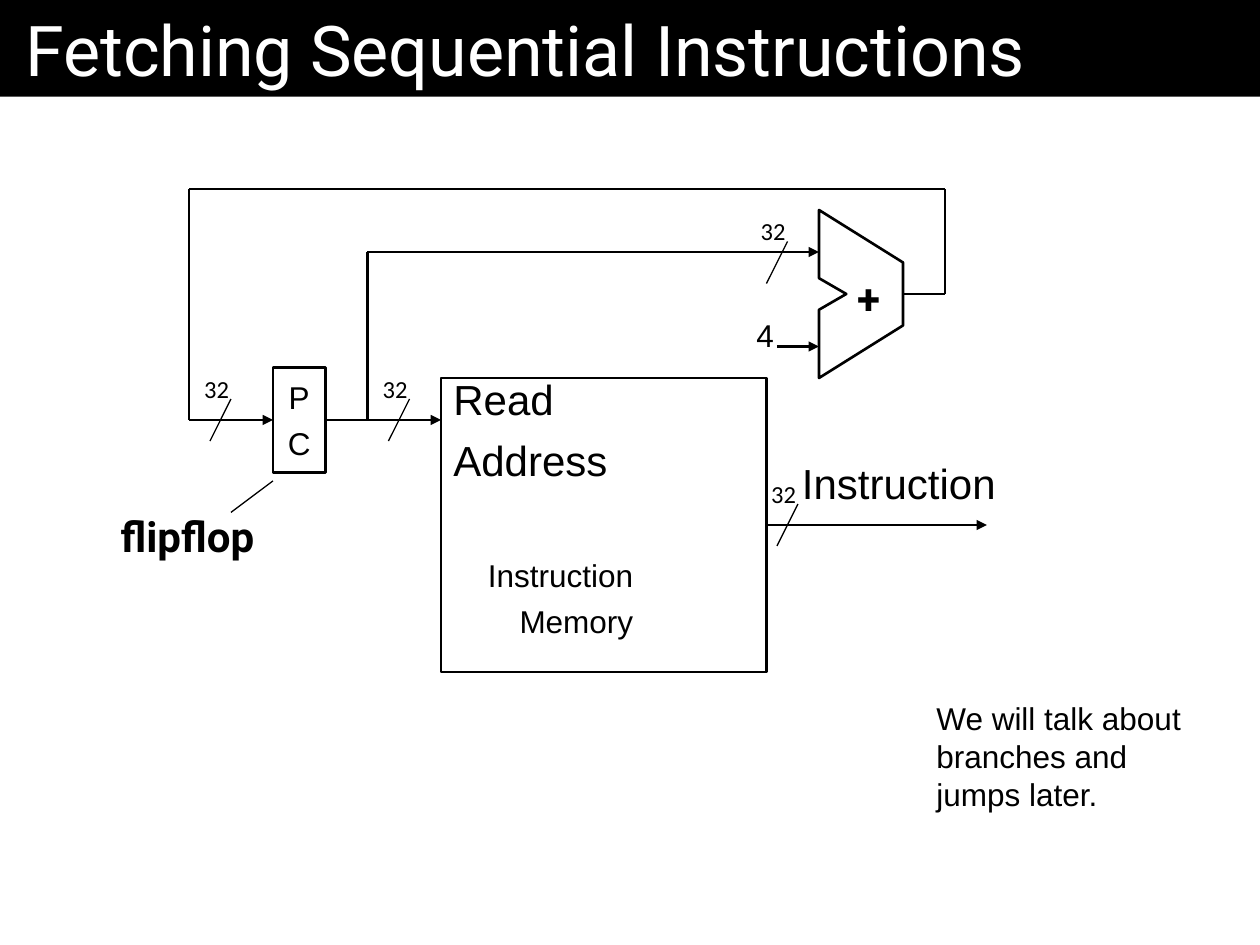
from itertools import pairwise

from lxml import etree
from pptx import Presentation
from pptx.dml.color import RGBColor
from pptx.enum.shapes import MSO_CONNECTOR, MSO_SHAPE
from pptx.enum.text import MSO_ANCHOR, MSO_AUTO_SIZE, PP_ALIGN
from pptx.oxml.ns import qn
from pptx.util import Inches, Pt

RECT = MSO_SHAPE.RECTANGLE
STRAIGHT = MSO_CONNECTOR.STRAIGHT
MIDDLE = MSO_ANCHOR.MIDDLE
GROW = MSO_AUTO_SIZE.SHAPE_TO_FIT_TEXT
LEFT, CENTER, RIGHT = PP_ALIGN.LEFT, PP_ALIGN.CENTER, PP_ALIGN.RIGHT

COLS, ROWS = 120, 90
CELL = Inches(10) / COLS
COLORS = {"ink": "000000", "paper": "FFFFFF"}
THIN, THICK = 0.75, 1.5

FONTS = {
    "title": {"name": "Roboto", "size": Pt(40)},
    "bold": {"name": "Roboto", "size": Pt(24), "bold": True},
    "port": {"name": "Arial", "size": Pt(24)},
    "body": {"name": "Arial", "size": Pt(18)},
    "width": {"name": "Calibri", "size": Pt(14)},
}


def grid(*cells):
    """Turn grid cells into slide lengths."""
    return [round(cell * CELL) for cell in cells]


def color(name):
    return RGBColor.from_string(COLORS[name])


def put_text(shape, lines, font, align=LEFT, ink="ink", **frame):
    """Fill a shape with one paragraph per line; frame holds text frame values."""
    box = shape.text_frame
    for key, value in frame.items():
        setattr(box, key, value)
    for index, line in enumerate(lines):
        para = box.add_paragraph() if index else box.paragraphs[0]
        para.alignment = align
        if index:
            para.space_before = Pt(FONTS[font]["size"].pt / 4)
        run = para.add_run()
        run.text = line
        for key, value in FONTS[font].items():
            setattr(run.font, key, value)
        run.font.color.rgb = color(ink)


def add_label(slide, area, lines, font, align=RIGHT, wrap=False):
    box = slide.shapes.add_textbox(*grid(*area))
    put_text(box, lines, font, align, word_wrap=wrap, auto_size=GROW)


def outline(shape):
    shape.shadow.inherit = False
    shape.fill.background()
    shape.line.color.rgb = color("ink")
    shape.line.width = Pt(THICK)


def add_block(slide, area):
    block = slide.shapes.add_shape(RECT, *grid(*area))
    outline(block)
    return block


def add_wire(slide, points, width=THICK, arrow=False):
    """Join the points with straight lines; the arrow ends the last one."""
    for start, end in pairwise(points):
        wire = slide.shapes.add_connector(STRAIGHT, *grid(*start, *end))
        wire.line.color.rgb = color("ink")
        wire.line.width = Pt(width)
        if arrow and end == points[-1]:
            etree.SubElement(wire.line._get_or_add_ln(), qn("a:tailEnd"), type="triangle")
        etree.SubElement(wire._element.spPr, qn("a:effectLst"))


def add_bus(slide, col, row):
    """Mark a wire as 32 bits wide: a slash with its number."""
    add_wire(slide, [(col + 4, row + 3), (col + 2, row + 7)], THIN)
    add_label(slide, (col, row, 5, 4), ["32"], "width")


def add_adder(slide):
    corners = [(78, 20), (78, 26.5), (80.6, 28), (78, 29.5), (78, 36), (86, 31), (86, 25)]
    points = [grid(*corner) for corner in corners]
    path = slide.shapes.build_freeform(*points[0])
    path.add_line_segments(points[1:], close=True)
    outline(path.convert_to_shape())
    add_label(slide, (79.2, 25.4, 5.8, 6.1), ["+"], "bold")


def add_title(slide, text):
    bar = slide.shapes.add_shape(RECT, *grid(0, 0, COLS, 9.2))
    bar.shadow.inherit = False
    bar.fill.solid()
    bar.fill.fore_color.rgb = color("ink")
    bar.line.fill.background()
    put_text(bar, [text], "title", ink="paper", word_wrap=True, vertical_anchor=MIDDLE,
             margin_left=Inches(0.2), margin_right=Inches(0.2))


def main():
    deck = Presentation()
    deck.slide_width, deck.slide_height = grid(COLS, ROWS)
    slide = deck.slides.add_slide(deck.slide_layouts[6])

    add_title(slide, "Fetching Sequential Instructions")
    add_adder(slide)
    counter = add_block(slide, (26, 35, 5, 10))
    put_text(counter, ["P", "C"], "body", CENTER, word_wrap=False, vertical_anchor=MIDDLE)
    add_block(slide, (42, 36, 31, 28))

    add_wire(slide, [(35, 40), (35, 24), (78, 24)], arrow=True)
    add_wire(slide, [(86, 28), (90, 28), (90, 18), (18, 18), (18, 40), (26, 40)], arrow=True)
    add_wire(slide, [(74, 33), (78, 33)], arrow=True)
    add_wire(slide, [(31, 40), (35, 40), (42, 40)], arrow=True)
    add_wire(slide, [(73, 50), (94, 50)], arrow=True)
    add_wire(slide, [(26, 45.8), (22, 48.8)], THIN)

    for col, row in [(18, 35), (71, 20), (35, 35), (72, 45)]:
        add_bus(slide, col, row)

    add_label(slide, (70.8, 29.5, 4.1, 4.8), ["4"], "body")
    add_label(slide, (8.6, 48, 16.8, 6.1), ["flipflop"], "bold")
    add_label(slide, (42, 35, 17.4, 11.9), ["Read", "Address"], "port", LEFT)
    add_label(slide, (74, 43, 22, 6.1), ["Instruction"], "port", wrap=True)
    add_label(slide, (36.1, 52.4, 25.4, 9.2), ["Instruction", "Memory"], "body")
    add_label(slide, (88, 66, 28, 12.1), ["We will talk about branches and jumps later."],
              "body", LEFT, wrap=True)

    deck.save("out.pptx")


if __name__ == "__main__":
    main()
